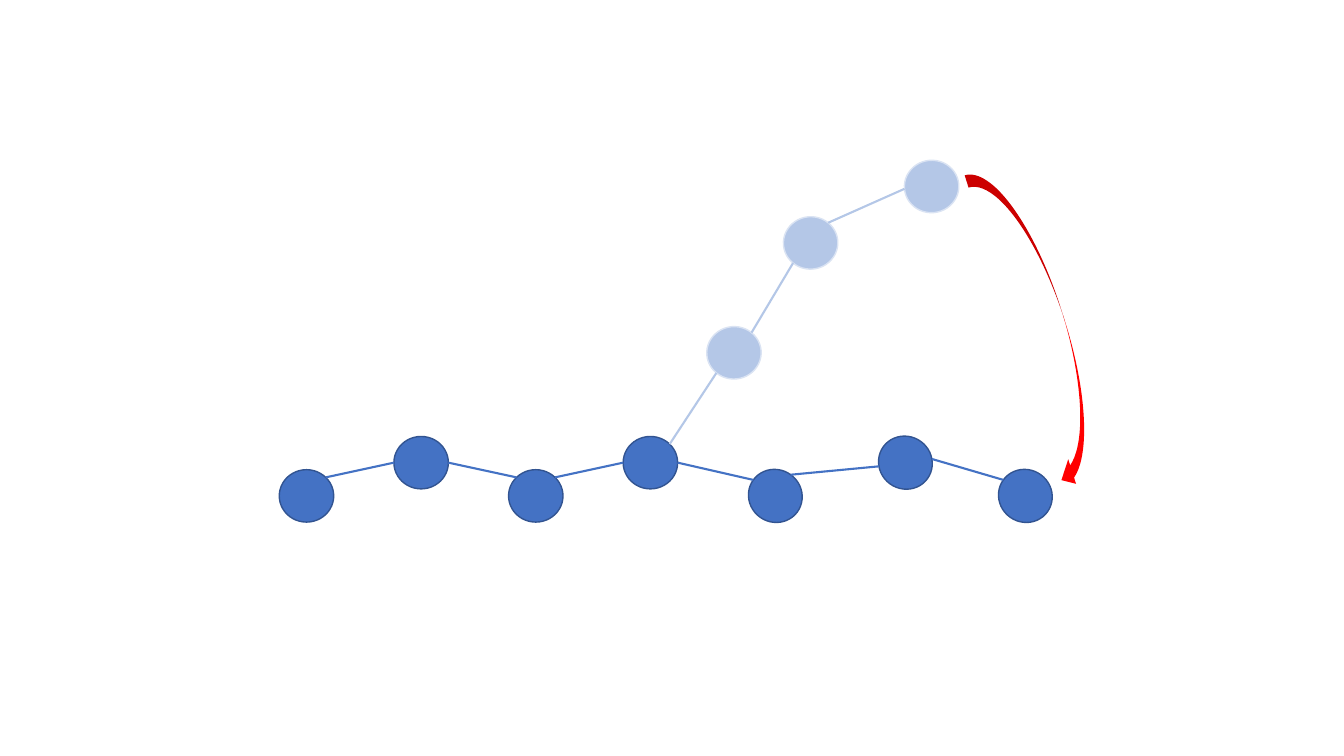
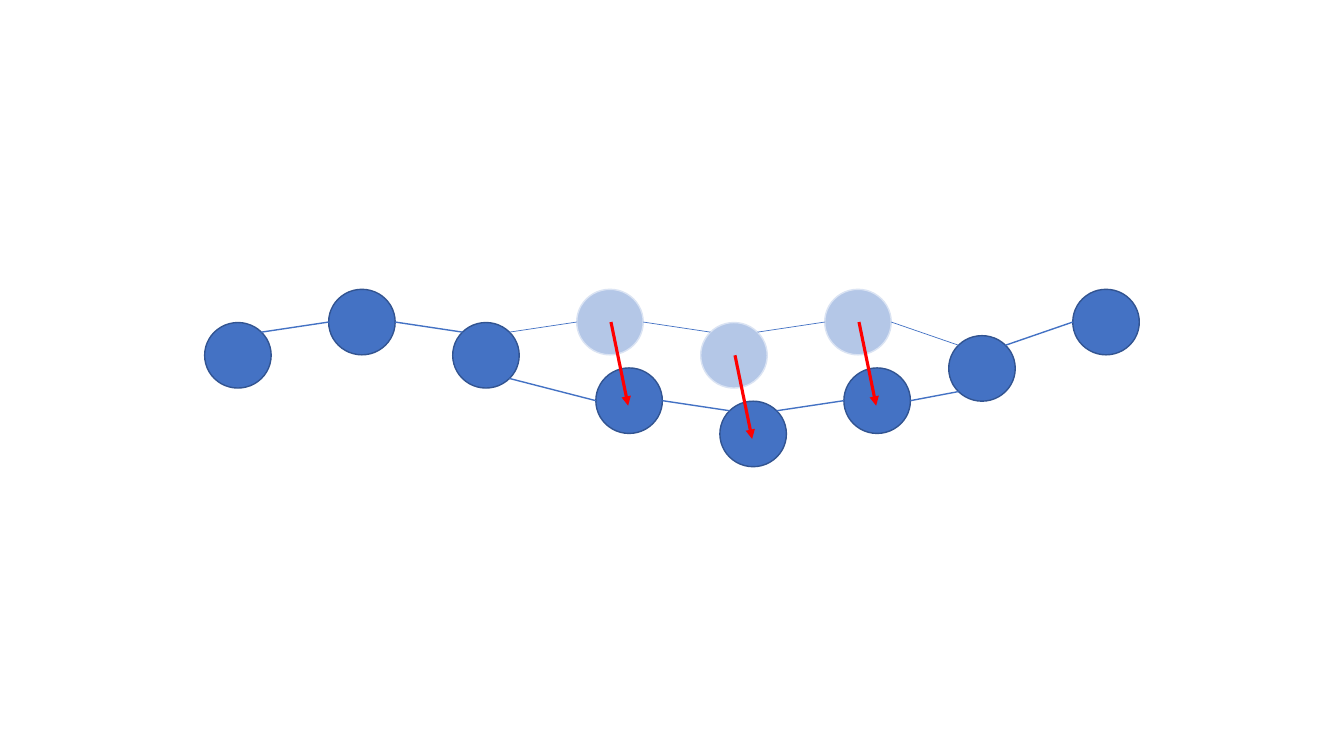
"""Draw two node chains whose pale nodes move to new places."""
from dataclasses import dataclass
from enum import IntEnum
from math import cos, radians, sin

from lxml.etree import SubElement
from pptx import Presentation
from pptx.dml.color import RGBColor as RGB
from pptx.enum.shapes import MSO_CONNECTOR as CXN, MSO_SHAPE as SHP
from pptx.oxml.ns import qn
from pptx.shapes.group import GroupShape
from pptx.util import Inches, Pt


class Site(IntEnum):
    RIGHT = 0
    BOTTOM_RIGHT = 45
    BOTTOM_LEFT = 135
    LEFT = 180
    TOP_LEFT = 225
    TOP = 270
    TOP_RIGHT = 315


@dataclass(frozen=True)
class Ink:
    fill: RGB
    edge: RGB


@dataclass(frozen=True)
class Theme:
    solid: Ink = Ink(RGB(0x44, 0x72, 0xC4), RGB(0x32, 0x54, 0x91))
    pale: Ink = Ink(RGB(0xB4, 0xC7, 0xE7), RGB(0xDA, 0xE3, 0xF3))
    move: RGB = RGB(0xFF, 0x00, 0x00)
    outline: float = 1
    thin: float = 0.5
    medium: float = 1
    thick: float = 1.5
    arrow: float = 2.25


@dataclass(frozen=True)
class Node:
    x: float
    y: float
    ink: Ink
    w: float
    h: float
    turn: float = 0

    @property
    def center(self) -> tuple[float, float]:
        return self.x + self.w / 2, self.y + self.h / 2

    def at(self, site: Site) -> tuple[float, float]:
        a, t = radians(site), radians(self.turn)
        dx, dy = self.w / 2 * cos(a), self.h / 2 * sin(a)
        cx, cy = self.center
        return cx + dx * cos(t) - dy * sin(t), cy + dx * sin(t) + dy * cos(t)


@dataclass(frozen=True)
class Link:
    start: Node
    start_site: Site
    end: Node
    end_site: Site
    color: RGB
    weight: float


T = Theme()


def add_node(grp: GroupShape, node: Node) -> None:
    sp = grp.shapes.add_shape(SHP.OVAL, *map(Inches, (node.x, node.y, node.w, node.h)))
    sp.shadow.inherit = False
    sp.fill.solid()
    sp.fill.fore_color.rgb = node.ink.fill
    sp.line.color.rgb = node.ink.edge
    for name, value in {"rotation": node.turn}.items():
        setattr(sp, name, value)
    sp.line.width = Pt(T.outline)


def add_line(grp: GroupShape, start: tuple[float, float], end: tuple[float, float],
             color: RGB, weight: float, head: bool = False) -> None:
    cx = grp.shapes.add_connector(CXN.STRAIGHT, *map(Inches, (*start, *end)))
    cx.line.color.rgb = color
    cx.line.width = Pt(weight)
    if head:
        SubElement(cx.line._get_or_add_ln(), qn("a:tailEnd"), type="triangle")
    SubElement(cx._element.spPr, qn("a:effectLst"))


def add_curved_arrow(grp: GroupShape) -> None:
    sp = grp.shapes.add_shape(SHP.CURVED_UP_ARROW, *map(Inches, (8.66, 2.98, 3.3, 0.51)))
    sp.rotation = 72.4
    sp._element.spPr.get_or_add_xfrm().set("flipV", "1")
    sp.shadow.inherit = False
    sp.fill.solid()
    sp.fill.fore_color.rgb = T.move
    sp.line.fill.background()


def add_graph(grp: GroupShape, nodes: list[Node], links: list[Link]) -> None:
    for node in nodes:
        add_node(grp, node)
    for link in links:
        add_line(grp, link.start.at(link.start_site), link.end.at(link.end_site),
                 link.color, link.weight)


def draw_branch_move(grp: GroupShape) -> None:
    w, h, low, high, step = 0.54, 0.52, 4.66, 4.33, 1.137
    chain = [Node(2.77 + i * step, high if i % 2 else low, T.solid, w, h) for i in range(4)]
    tail = [Node(x, y, T.solid, w, h, 36) for x, y in ((7.42, low), (8.71, high), (9.9, low))]
    branch = [Node(x, y, T.pale, w, h, 355)
              for x, y in ((7.01, 3.24), (7.77, 2.15), (8.97, 1.59))]
    a, b, c, d = chain
    e, f, g = tail
    p, q, r = branch
    solid, pale = (T.solid.fill, T.thick), (T.pale.fill, T.thick)
    add_graph(grp, chain + tail + branch, [
        Link(a, Site.TOP_RIGHT, b, Site.LEFT, *solid),
        Link(b, Site.RIGHT, c, Site.TOP_LEFT, *solid),
        Link(c, Site.TOP_RIGHT, d, Site.LEFT, *solid),
        Link(d, Site.RIGHT, e, Site.LEFT, *solid),
        Link(e, Site.TOP, f, Site.BOTTOM_LEFT, *solid),
        Link(f, Site.TOP_RIGHT, g, Site.LEFT, *solid),
        Link(d, Site.TOP_RIGHT, p, Site.BOTTOM_LEFT, *pale),
        Link(p, Site.TOP_RIGHT, q, Site.BOTTOM_LEFT, *pale),
        Link(q, Site.TOP_RIGHT, r, Site.LEFT, *pale),
    ])
    add_curved_arrow(grp)


def draw_segment_move(grp: GroupShape) -> None:
    w, h, left, step = 0.66, 0.65, 2.03, 1.23
    tops = (3.2, 2.87, 3.2, 2.87, 3.2, 2.87, 3.33, 2.87)
    row = [Node(left + i * step, y, T.pale if 3 <= i <= 5 else T.solid, w, h)
           for i, y in enumerate(tops)]
    old = row[3:6]
    new = [Node(n.x + 0.19, n.y + 0.78, T.solid, w, h) for n in old]
    a, b, c, p, q, r, d, e = row
    f, g, k = new
    firm, faint = (T.solid.fill, T.medium), (T.solid.fill, T.thin)
    add_graph(grp, row + new, [
        Link(a, Site.TOP_RIGHT, b, Site.LEFT, *firm),
        Link(b, Site.RIGHT, c, Site.TOP_LEFT, *firm),
        Link(c, Site.TOP_RIGHT, p, Site.LEFT, *faint),
        Link(p, Site.RIGHT, q, Site.TOP_LEFT, *faint),
        Link(q, Site.TOP_RIGHT, r, Site.LEFT, *faint),
        Link(r, Site.RIGHT, d, Site.TOP_LEFT, *faint),
        Link(d, Site.TOP_RIGHT, e, Site.LEFT, *firm),
        Link(c, Site.BOTTOM_RIGHT, f, Site.LEFT, *firm),
        Link(f, Site.RIGHT, g, Site.TOP_LEFT, *firm),
        Link(g, Site.TOP_RIGHT, k, Site.LEFT, *firm),
        Link(k, Site.RIGHT, d, Site.BOTTOM_LEFT, *firm),
    ])
    for node in old:
        x, y = node.center
        add_line(grp, (x + 0.01, y), (x + 0.18, y + 0.83), T.move, T.arrow, head=True)


def main() -> None:
    prs = Presentation()
    for name, value in {"slide_width": 13.33, "slide_height": 7.5}.items():
        setattr(prs, name, Inches(value))
    for draw in (draw_branch_move, draw_segment_move):
        s = prs.slides.add_slide(prs.slide_layouts[6])
        draw(s.shapes.add_group_shape())
    prs.save("out.pptx")


if __name__ == "__main__":
    main()
